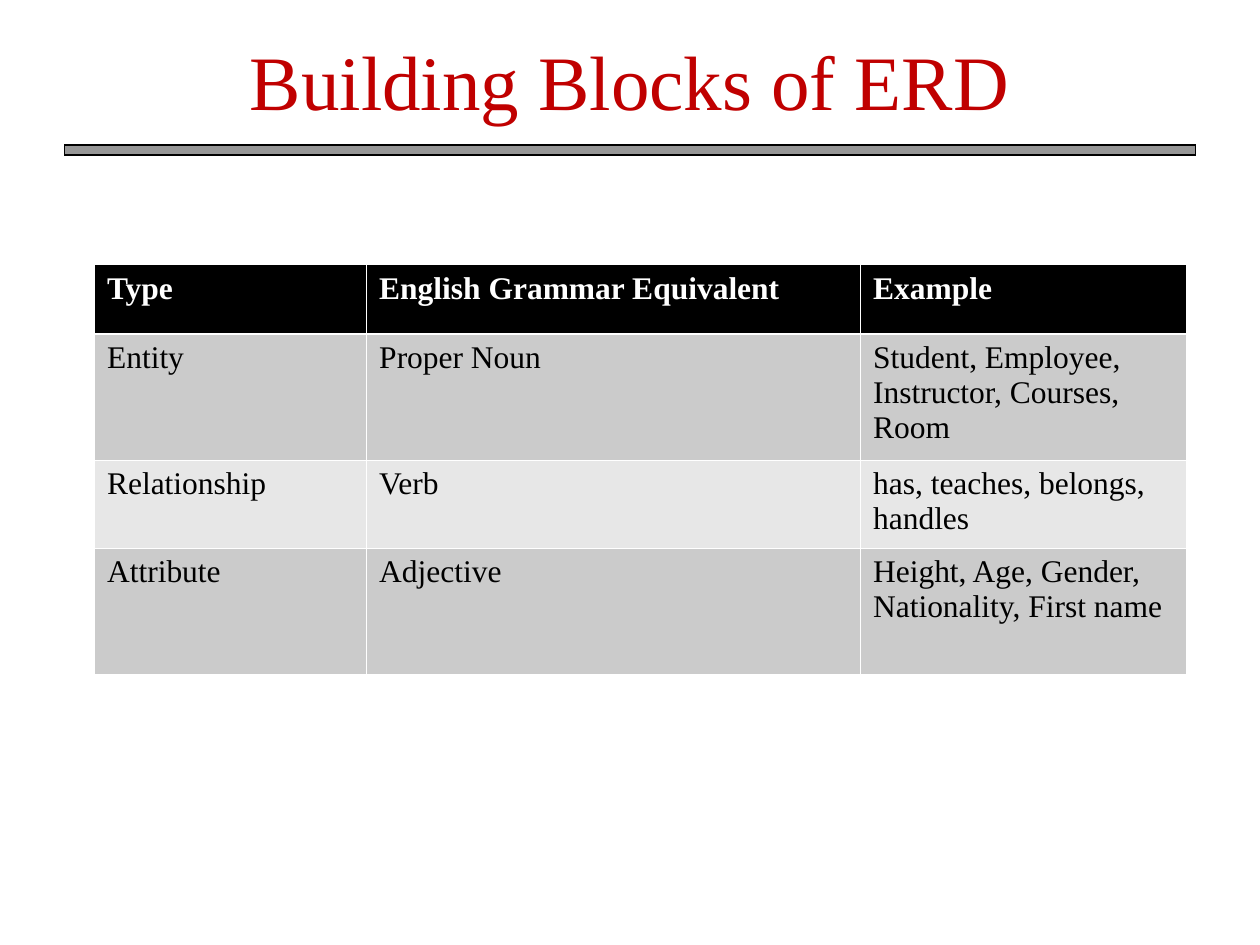
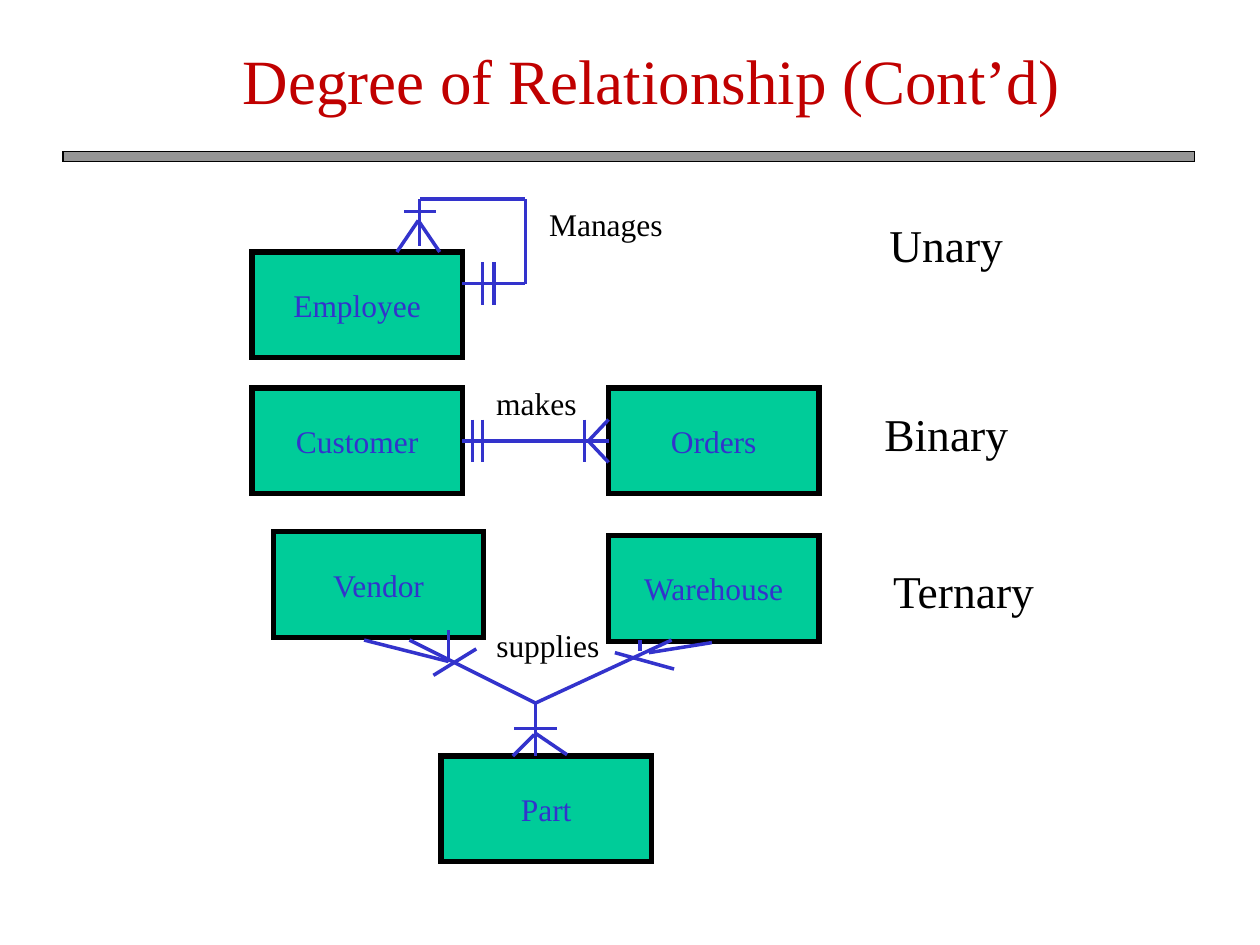
from dataclasses import dataclass
from itertools import pairwise
from typing import NamedTuple

from lxml import etree
from pptx import Presentation
from pptx import util as u
from pptx.dml.color import RGBColor
from pptx.enum import shapes, text
from pptx.oxml.ns import qn

SCALE = 9144  # EMU in one px, 100 px to the inch


@dataclass(frozen=True)
class Theme:
    face: str = "Times New Roman"
    title: str = "C00000"
    ink: str = "000000"
    paper: str = "FFFFFF"
    band: str = "969696"
    box: str = "00CC99"
    link: str = "3333CC"
    odd: str = "CBCBCB"
    even: str = "E7E7E7"
    body: int = 18
    degree: int = 26
    edge: float = 0.75
    frame: int = 3
    wire: int = 2
    thin: float = 0.45
    thick: float = 1.47


T = Theme()


class Point(NamedTuple):
    x: int
    y: int


class Entity(NamedTuple):
    name: str
    x: int
    y: int


class Label(NamedTuple):
    words: str
    x: int
    y: int
    wide: int
    high: int = 40
    size: int = T.body


class Head(NamedTuple):
    words: str
    size: int
    x: int
    band: Point


BOX = Point(167, 84)

ROWS = (
    ("Type", "English Grammar Equivalent", "Example"),
    ("Entity", "Proper Noun", "Student, Employee, Instructor, Courses, Room"),
    ("Relationship", "Verb", "has, teaches, belongs, handles"),
    ("Attribute", "Adjective", "Height, Age, Gender, Nationality, First name"),
)
WIDTHS = (216, 392, 259)
HEIGHTS = (55, 100, 70, 100)

ENTITIES = (
    Entity("Employee", 200, 200),
    Entity("Customer", 200, 308),
    Entity("Orders", 483, 308),
    Entity("Vendor", 217, 422),
    Entity("Warehouse", 483, 425),
    Entity("Part", 350, 600),
)
LABELS = (
    Label("Unary", 696, 167, 120, 54, T.degree),
    Label("Binary", 692, 317, 128, 54, T.degree),
    Label("Ternary", 699, 442, 144, 54, T.degree),
    Label("Manages", 426, 158, 120),
    Label("makes", 384, 300, 94),
    Label("supplies", 384, 492, 112),
)

HUB = Point(425, 558)
# Each route is drawn point to point.
ROUTES = (
    (Point(367, 225), Point(417, 225), Point(417, 158), Point(333, 158), Point(333, 195)),
    (Point(367, 350), Point(483, 350)),
    (Point(325, 508), HUB, Point(533, 508)),
    (HUB, Point(425, 600)),
)
# Each crow's foot bends at its middle point.
FEET = (
    (Point(315, 200), Point(332, 175), Point(349, 200)),
    (Point(483, 333), Point(467, 350), Point(483, 367)),
    (Point(356, 500), Point(356, 525), Point(289, 508)),
    (Point(407, 600), Point(424, 583)),
    (Point(425, 582), Point(450, 599)),
    (Point(508, 517), Point(508, 508)),
    (Point(515, 518), Point(565, 510)),
)
UPRIGHTS = (Point(383, 208), Point(392, 208), Point(375, 333),
            Point(383, 333), Point(464, 333))
BARS = tuple((p, Point(p.x, p.y + 34)) for p in UPRIGHTS) + (
    (Point(321, 168), Point(346, 168)),
    (Point(344, 536), Point(378, 515)),
    (Point(488, 518), Point(535, 531)),
    (Point(408, 578), Point(442, 578)),
)


def px(*sizes: int) -> list[int]:
    return [u.Emu(size * SCALE) for size in sizes]


def tint(code: str) -> RGBColor:
    return RGBColor.from_string(code)


def write(frame, words: str, size: int, code: str, bold: bool = False,
          align=text.PP_ALIGN.LEFT) -> None:
    frame.text = words
    para = frame.paragraphs[0]
    para.alignment = align
    font = para.font
    font.name, font.size, font.bold = T.face, u.Pt(size), bold
    font.color.rgb = tint(code)


def block(slide, area: tuple[int, ...], fill: str, width: float):
    """Add a filled rectangle with a black, sharp-cornered outline."""
    shape = slide.shapes.add_shape(shapes.MSO_SHAPE.RECTANGLE, *px(*area))
    shape.shadow.inherit = False
    shape.fill.solid()
    shape.fill.fore_color.rgb = tint(fill)
    shape.line.color.rgb = tint(T.ink)
    shape.line.width = u.Pt(width)
    edge = shape._element.spPr.find(qn("a:ln"))
    etree.SubElement(edge, qn("a:miter"), lim="800000")
    return shape


def start(deck, head: Head):
    """Add a slide with its title and the grey band below it."""
    slide = deck.slides.add_slide(deck.slide_layouts[5])
    title = slide.shapes.title
    title.left, title.top, title.width, title.height = px(head.x, 0, 850, 126)
    title.text_frame.vertical_anchor = text.MSO_ANCHOR.MIDDLE
    write(title.text_frame, head.words, head.size, T.title,
          align=text.PP_ALIGN.CENTER)
    block(slide, (*head.band, 898, 8), T.band, T.edge)
    return slide


def border(cell, row: int) -> None:
    """Draw white cell edges, thicker between the header and the body."""
    widths = {"lnL": T.thin, "lnR": T.thin,
              "lnT": T.thick if row == 1 else T.thin,
              "lnB": T.thick if row == 0 else T.thin}
    props = cell._tc.get_or_add_tcPr()
    for spot, (tag, width) in enumerate(widths.items()):
        line = etree.Element(qn(f"a:{tag}"), w=str(int(u.Pt(width))))
        fill = etree.SubElement(line, qn("a:solidFill"))
        etree.SubElement(fill, qn("a:srgbClr"), val=T.paper)
        props.insert(spot, line)


def grid(slide) -> None:
    area = px(75, 210, sum(WIDTHS), sum(HEIGHTS))
    table = slide.shapes.add_table(len(ROWS), len(WIDTHS), *area).table
    for col, width in zip(table.columns, px(*WIDTHS)):
        col.width = width
    for line, height in zip(table.rows, px(*HEIGHTS)):
        line.height = height
    for row, words in enumerate(ROWS):
        top = row == 0
        fill = T.ink if top else T.odd if row % 2 else T.even
        for col, word in enumerate(words):
            cell = table.cell(row, col)
            cell.fill.solid()
            cell.fill.fore_color.rgb = tint(fill)
            write(cell.text_frame, word, T.body, T.paper if top else T.ink, top)
            border(cell, row)


def entity(slide, item: Entity) -> None:
    shape = block(slide, (item.x, item.y, *BOX), T.box, T.frame)
    frame = shape.text_frame
    frame.word_wrap = False
    frame.vertical_anchor = text.MSO_ANCHOR.MIDDLE
    write(frame, item.name, T.body, T.link, align=text.PP_ALIGN.CENTER)


def label(slide, item: Label) -> None:
    area = px(item.x, item.y, item.wide, item.high)
    frame = slide.shapes.add_textbox(*area).text_frame
    frame.word_wrap = True
    write(frame, item.words, item.size, T.ink)


def trace(slide, route: tuple[Point, ...]) -> None:
    for a, b in pairwise(route):
        wire = slide.shapes.add_connector(
            shapes.MSO_CONNECTOR.STRAIGHT, *px(*a, *b))
        wire.line.color.rgb = tint(T.link)
        wire.line.width = u.Pt(T.wire)
        etree.SubElement(wire._element.spPr, qn("a:effectLst"))


def main() -> None:
    deck = Presentation()
    deck.slide_width, deck.slide_height = px(1000, 750)

    grid(start(deck, Head("Building Blocks of ERD", 44, 75, Point(51, 115))))

    slide = start(deck, Head("Degree of Relationship (Cont’d)", 36, 92,
                             Point(50, 120)))
    for item in ENTITIES:
        entity(slide, item)
    for route in ROUTES + FEET + BARS:
        trace(slide, route)
    for item in LABELS:
        label(slide, item)

    deck.save("out.pptx")


if __name__ == "__main__":
    main()
